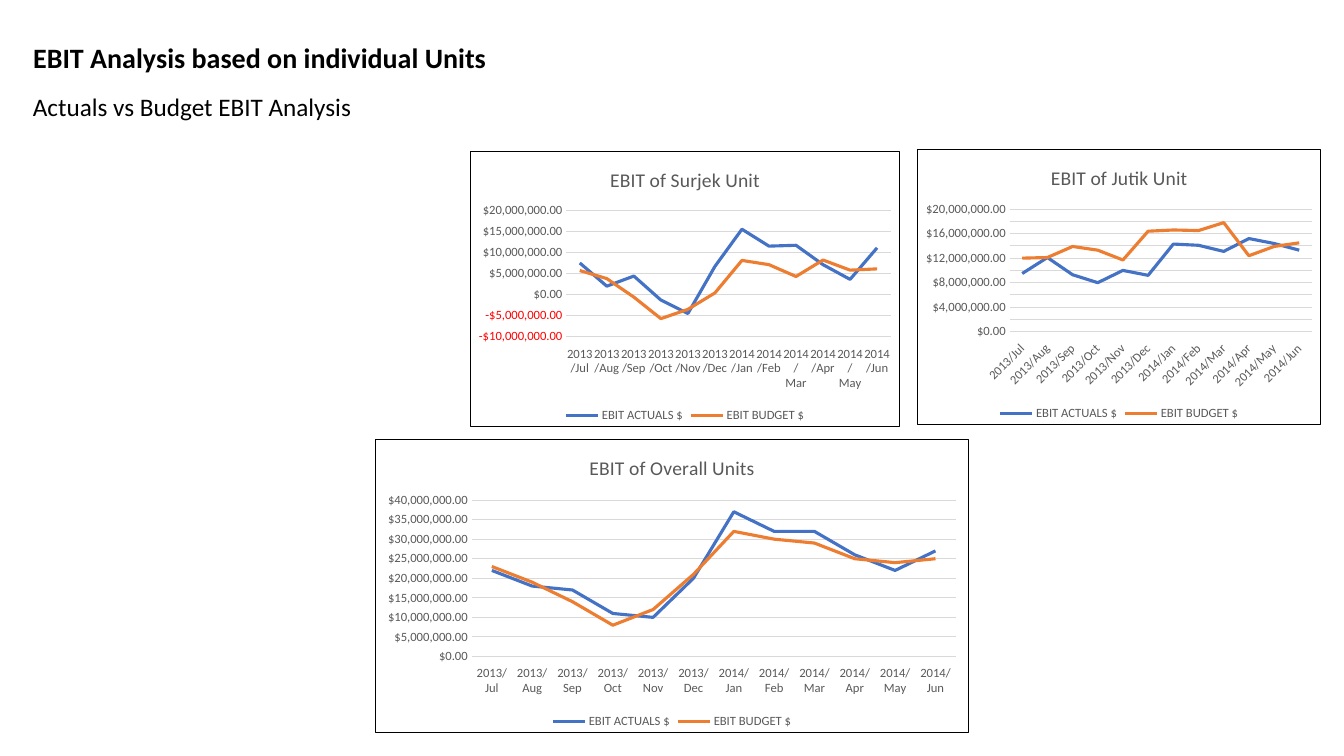
from dataclasses import dataclass
from typing import Any, Optional

from lxml import etree
from pptx import Presentation
from pptx import util as u
from pptx.chart.axis import CategoryAxis, ValueAxis
from pptx.chart.chart import Chart
from pptx.chart.data import CategoryChartData
from pptx.dml.color import RGBColor
from pptx.enum import chart as charts, text
from pptx.oxml import parse_xml
from pptx.oxml.ns import nsdecls, qn
from pptx.shapes.base import BaseShape
from pptx.slide import Slide

PIXEL = u.Inches(1) / 100.8
FONT = "Calibri"
COLORS = {
    "text": "000000", "label": "595959", "grid": "D9D9D9",
    "paper": "FFFFFF", "actuals": "4472C4", "budget": "ED7D31",
}
MONTHS = [
    f"{year}/{month}"
    for year, names in ((2013, "Jul Aug Sep Oct Nov Dec"), (2014, "Jan Feb Mar Apr May Jun"))
    for month in names.split()
]
MONEY = '"$"#,##0.00;[Red]\\-"$"#,##0.00'
MILLION = 1_000_000


@dataclass
class Box:
    """A rectangle in whole pixels."""
    left: int
    top: int
    width: int
    height: int

    def emu(self) -> tuple[int, ...]:
        """Return the rectangle in EMU."""
        return tuple(round(side * PIXEL) for side in (self.left, self.top, self.width, self.height))


@dataclass
class EbitChart:
    """One unit's chart; amounts are in millions of dollars."""
    unit: str
    frame: Box
    plot: Box
    low: int
    high: int
    step: int
    actuals: list[float]
    budget: list[float]
    label_angle: Optional[int] = None


EBIT_CHARTS = [
    EbitChart("Surjek Unit", Box(470, 151, 430, 276), Box(566, 210, 325, 127), -10, 20, 5,
              [7.5, 2, 4.4, -1.3, -4.5, 6.7, 15.5, 11.5, 11.7, 7.1, 3.6, 11.1],
              [5.7, 3.8, -0.6, -5.7, -3.5, 0.4, 8.1, 7.1, 4.3, 8.2, 5.8, 6.1]),
    EbitChart("Jutik Unit", Box(917, 149, 404, 276), Box(1009, 209, 303, 123), 0, 20, 2,
              [9.5, 12.1, 9.3, 8, 10, 9.2, 14.3, 14.1, 13.1, 15.2, 14.4, 13.3],
              [12, 12.1, 13.9, 13.3, 11.7, 16.4, 16.6, 16.5, 17.8, 12.4, 13.9, 14.5],
              label_angle=-45),
    EbitChart("Overall Units", Box(375, 439, 594, 294), Box(471, 500, 485, 157), 0, 40, 5,
              [22, 18, 17, 11, 10, 20, 37, 32, 32, 26, 22, 27],
              [23, 19, 14, 8, 12, 21, 32, 30, 29, 25, 24, 25]),
]


def set_values(target: Any, **values: Any) -> None:
    """Set each named attribute of the target."""
    for name, value in values.items():
        setattr(target, name, value)


def set_font(font: Any, size: int, color: str, bold: bool = False) -> None:
    """Give a font its face, size, weight and colour."""
    set_values(font, name=FONT, size=u.Pt(size), bold=bold)
    font.color.rgb = RGBColor.from_string(COLORS[color])


def set_line(line: Any, color: str, width: float) -> None:
    """Give a line its colour and width."""
    line.color.rgb = RGBColor.from_string(COLORS[color])
    line.width = u.Pt(width)


def write_heading(shape: BaseShape, words: str, box: Box, size: int, bold: bool, anchor: Any) -> None:
    """Place a text shape and write one left-aligned line in it."""
    left, top, width, height = box.emu()
    set_values(shape, left=left, top=top, width=width, height=height)
    set_values(shape.text_frame, text=words, word_wrap=True, vertical_anchor=anchor,
               auto_size=text.MSO_AUTO_SIZE.NONE)
    paragraph = shape.text_frame.paragraphs[0]
    set_values(paragraph, alignment=text.PP_ALIGN.LEFT, line_spacing=0.9)
    set_font(paragraph.runs[0].font, size, "text", bold)


def add_frame(chart: Chart) -> None:
    """Give the chart area a white fill and a thin square black border."""
    space = chart.element
    if space.find(qn("c:roundedCorners")) is None:
        space.find(qn("c:date1904")).addnext(parse_xml(f'<c:roundedCorners {nsdecls("c")} val="0"/>'))
    space.find(qn("c:chart")).addnext(parse_xml(
        f'<c:spPr {nsdecls("c", "a")}>'
        f'<a:solidFill><a:srgbClr val="{COLORS["paper"]}"/></a:solidFill>'
        f'<a:ln w="{u.Pt(0.75)}"><a:solidFill><a:srgbClr val="{COLORS["text"]}"/></a:solidFill></a:ln>'
        '</c:spPr>'))


def place_plot(chart: Chart, frame: Box, plot: Box) -> None:
    """Fix the inner plot area as fractions of the chart frame."""
    area = chart.element.find(".//" + qn("c:plotArea"))
    for layout in area.findall(qn("c:layout")):
        area.remove(layout)
    fractions = {
        "x": (plot.left - frame.left) / frame.width,
        "y": (plot.top - frame.top) / frame.height,
        "w": plot.width / frame.width,
        "h": plot.height / frame.height,
    }
    layout = etree.Element(qn("c:layout"))
    manual = etree.SubElement(layout, qn("c:manualLayout"))
    settings = {"layoutTarget": "inner", "xMode": "edge", "yMode": "edge"}
    settings.update({name: f"{value:.3f}" for name, value in fractions.items()})
    for name, value in settings.items():
        etree.SubElement(manual, qn(f"c:{name}"), val=value)
    area.insert(0, layout)


def format_axes(months: CategoryAxis, dollars: ValueAxis, ebit: EbitChart) -> None:
    """Style both axes and set the dollar scale."""
    for axis in (months, dollars):
        set_values(axis, major_tick_mark=charts.XL_TICK_MARK.NONE,
                   minor_tick_mark=charts.XL_TICK_MARK.NONE)
        set_font(axis.tick_labels.font, 9, "label")
    months.tick_label_position = charts.XL_TICK_LABEL_POSITION.LOW
    set_line(months.format.line, "grid", 0.75)
    if ebit.label_angle is not None:
        body = months.format.line and months._element.find(qn("c:txPr")).find(qn("a:bodyPr"))
        body.set("rot", str(ebit.label_angle * 60000))
    set_values(dollars, has_major_gridlines=True, minimum_scale=ebit.low * MILLION,
               maximum_scale=ebit.high * MILLION, major_unit=ebit.step * MILLION)
    set_values(dollars.tick_labels, number_format=MONEY, number_format_is_linked=False)
    dollars.format.line.fill.background()
    set_line(dollars.major_gridlines.format.line, "grid", 0.75)


def add_ebit_chart(slide: Slide, ebit: EbitChart) -> None:
    """Draw actual and budgeted EBIT as two lines."""
    data = CategoryChartData(number_format=MONEY)
    data.categories = MONTHS
    for name, amounts in (("EBIT ACTUALS $", ebit.actuals), ("EBIT BUDGET $", ebit.budget)):
        data.add_series(name, [round(amount * MILLION) for amount in amounts])
    chart = slide.shapes.add_chart(charts.XL_CHART_TYPE.LINE, *ebit.frame.emu(), data).chart
    set_font(chart.font, 10, "text")
    set_values(chart, has_title=True, has_legend=True)
    title = chart.chart_title
    title.include_in_layout = False
    title.text_frame.text = f"EBIT of {ebit.unit}"
    set_font(title.text_frame.paragraphs[0].runs[0].font, 14, "label")
    set_values(chart.legend, position=charts.XL_LEGEND_POSITION.BOTTOM, include_in_layout=False)
    set_font(chart.legend.font, 9, "label")
    plot = chart.plots[0]
    plot.vary_by_categories = False
    for series, color in zip(plot.series, ("actuals", "budget")):
        series.smooth = False
        series.marker.style = charts.XL_MARKER_STYLE.NONE
        set_line(series.format.line, color, 2.25)
    format_axes(chart.category_axis, chart.value_axis, ebit)
    place_plot(chart, ebit.frame, ebit.plot)
    add_frame(chart)


def main() -> None:
    """Build the EBIT slide and save it."""
    presentation = Presentation()
    set_values(presentation, slide_width=u.Inches(13.33), slide_height=u.Inches(7.5))
    slide = presentation.slides.add_slide(presentation.slide_layouts[5])
    write_heading(slide.shapes.title, "EBIT Analysis based on individual Units",
                  Box(23, 39, 1302, 41), 20, True, text.MSO_ANCHOR.BOTTOM)
    subtitle_box = Box(23, 90, 1302, 40)
    write_heading(slide.shapes.add_textbox(*subtitle_box.emu()), "Actuals vs Budget EBIT Analysis",
                  subtitle_box, 18, False, text.MSO_ANCHOR.TOP)
    for ebit in EBIT_CHARTS:
        add_ebit_chart(slide, ebit)
    presentation.save("out.pptx")


main()
